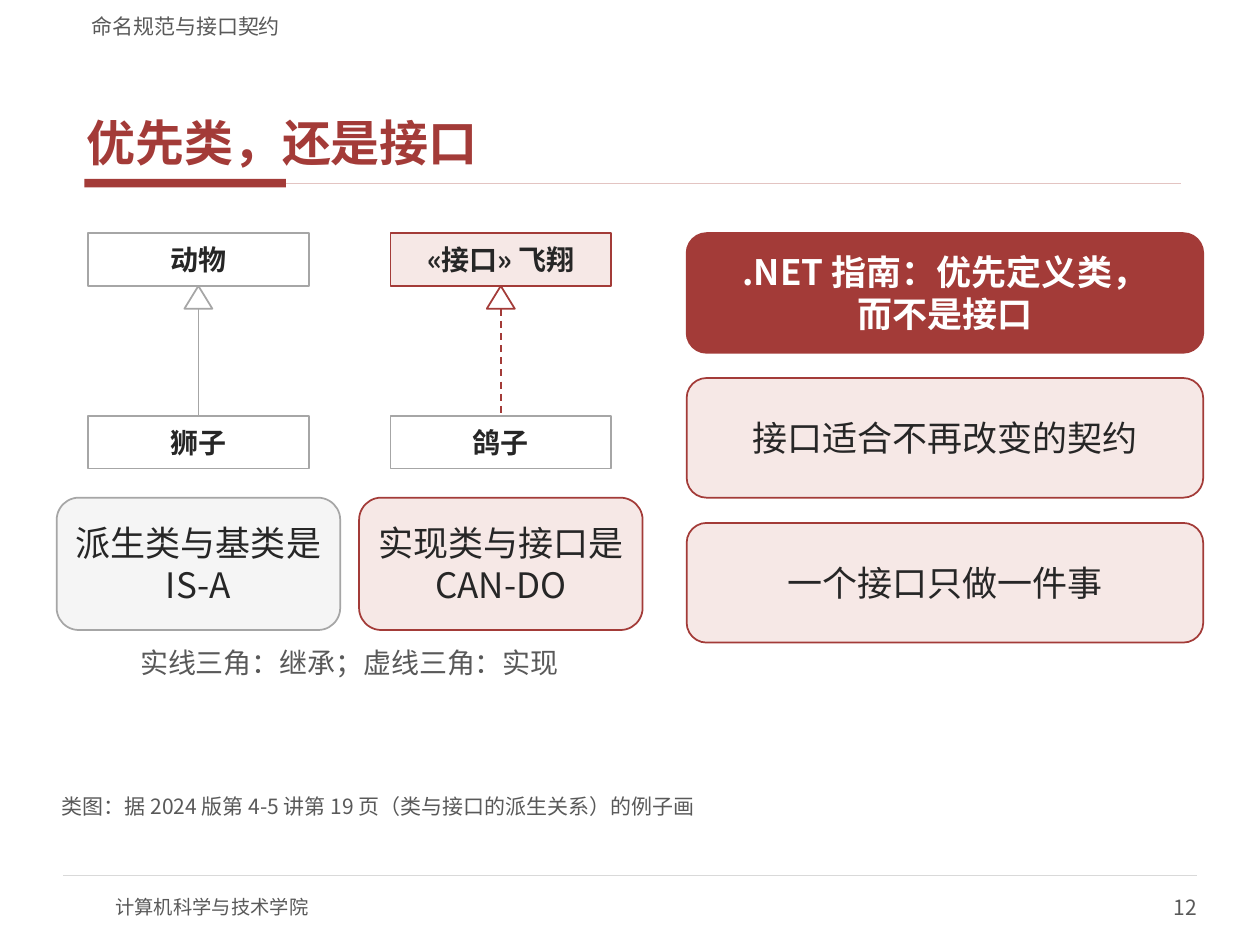
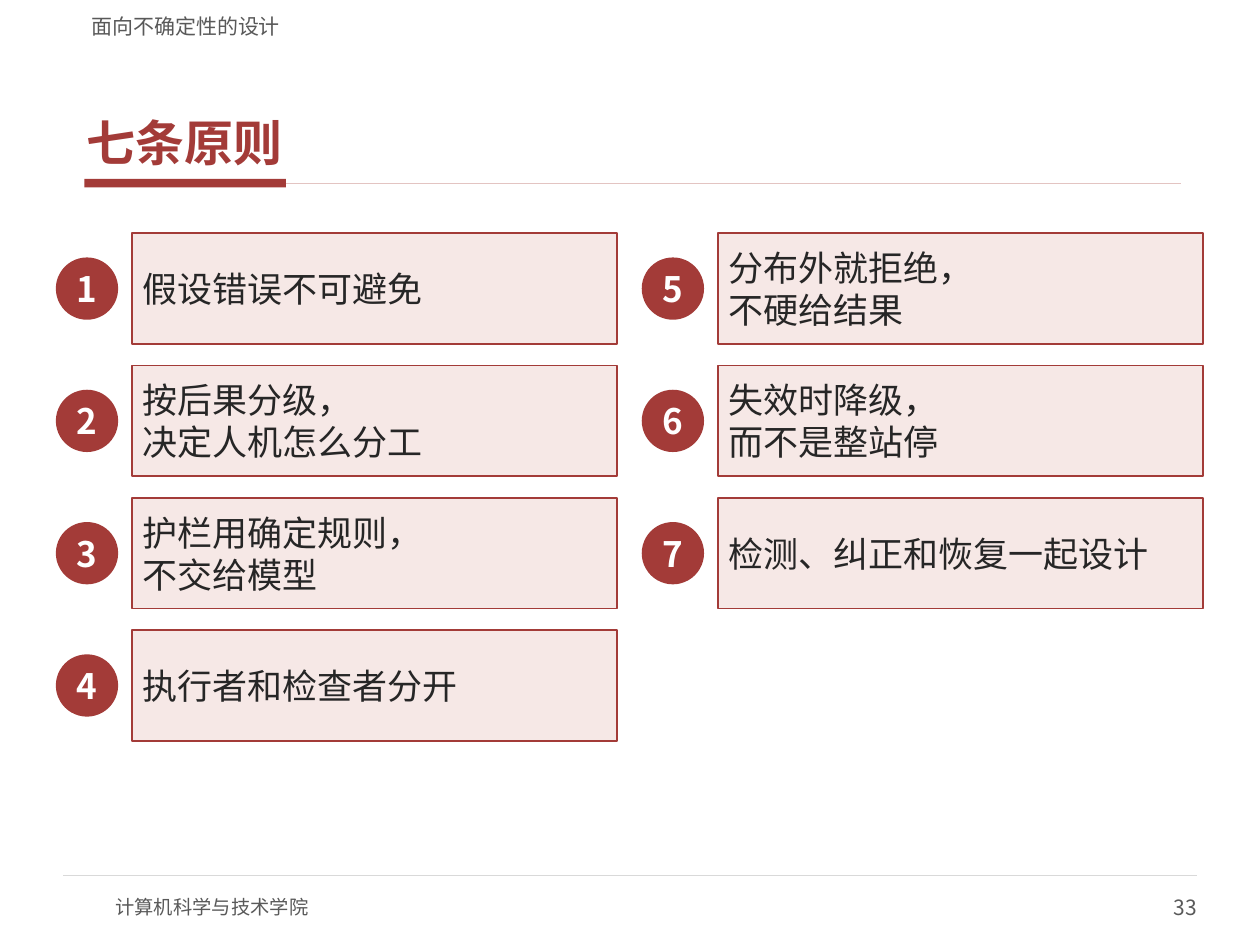
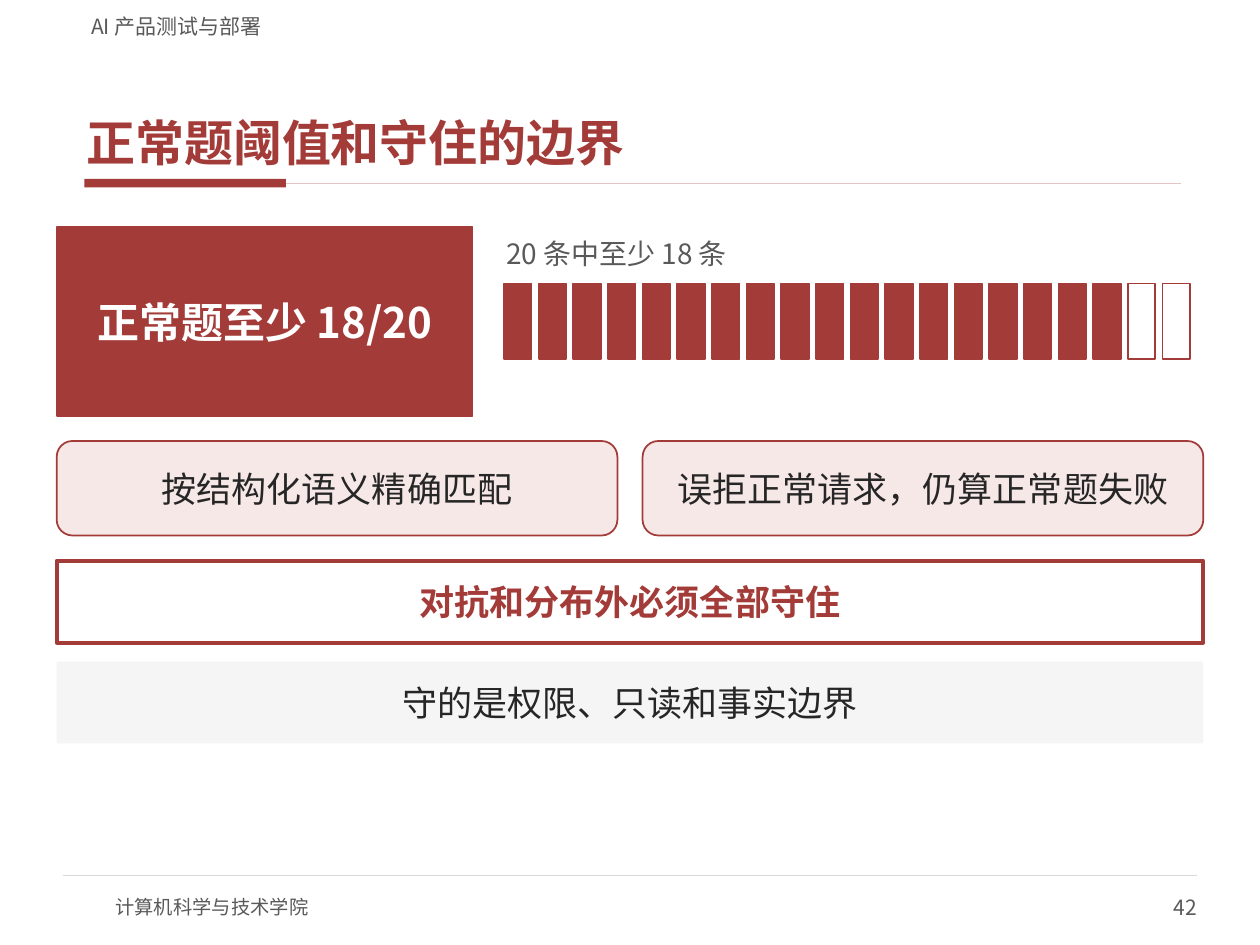
from dataclasses import dataclass

from lxml.etree import SubElement
from pptx import Presentation
from pptx.dml.color import RGBColor as Rgb
from pptx.enum.dml import MSO_LINE as Dash
from pptx.enum.shapes import MSO_CONNECTOR as Link, MSO_SHAPE as Form
from pptx.enum.text import MSO_ANCHOR as Anchor, MSO_AUTO_SIZE as Fit, PP_ALIGN as Align
from pptx.oxml.ns import qn
from pptx.util import Pt


@dataclass(frozen=True)
class Theme:
    """Colours, font and type sizes of the deck."""

    red: str = "A33B38"
    rose: str = "F6E8E6"
    blush: str = "E3C4C2"
    white: str = "FFFFFF"
    pale: str = "F5F5F5"
    rule: str = "D9D9D9"
    edge: str = "A6A6A6"
    grey: str = "595959"
    ink: str = "262626"
    font: str = "Noto Sans CJK SC"
    title: float = 28
    hero: float = 24
    body: float = 20
    label: float = 16
    small: float = 12
    foot: float = 11


THEME = Theme()
LEFT, WIDE, TOP = 32.4, 655.2, 133.2
HALF, RIGHT = 320.4, 367.2
PAD, TIGHT = (5.8, 2.9), (4.3, 2.2)


def spots(at):
    """Turn point values into lengths."""
    return [Pt(val) for val in at]


def write(frame, text, size, color, bold=False, align=Align.LEFT,
          anchor=Anchor.MIDDLE, pad=(0, 0)):
    """Put one styled paragraph into a text frame."""
    frame.word_wrap = True
    frame.auto_size = Fit.NONE
    frame.vertical_anchor = anchor
    frame.margin_left = frame.margin_right = Pt(pad[0])
    frame.margin_top = frame.margin_bottom = Pt(pad[1])
    para = frame.paragraphs[0]
    para.text = text
    para.alignment = align
    for run in para.runs:
        run.font.name = THEME.font
        run.font.size = Pt(size)
        run.font.bold = bold
        run.font.color.rgb = Rgb.from_string(color)
        SubElement(run._r.get_or_add_rPr(), qn("a:ea"), typeface=THEME.font)
    return para


def shape(slide, form, at, fill, edge=None, weight=1):
    """Add a flat preset shape."""
    item = slide.shapes.add_shape(form, *spots(at))
    item.shadow.inherit = False
    item.fill.solid()
    item.fill.fore_color.rgb = Rgb.from_string(fill)
    if edge:
        item.line.color.rgb = Rgb.from_string(edge)
        item.line.width = Pt(weight)
    else:
        item.line.fill.background()
    return item


def card(slide, at, text, form=Form.ROUNDED_RECTANGLE, fill=THEME.rose, edge=THEME.red,
         weight=1, size=THEME.body, color=THEME.ink, bold=False, align=Align.CENTER, pad=PAD):
    """Add a filled shape with text."""
    item = shape(slide, form, at, fill, edge, weight)
    write(item.text_frame, text, size, color, bold, align, pad=pad)


def label(slide, at, text, size=THEME.label, **style):
    """Add a grey text box."""
    item = slide.shapes.add_textbox(*spots(at))
    write(item.text_frame, text, size, THEME.grey, **style)


def line(slide, start, end, color, weight=1, dash=None):
    """Add a straight line without shadow."""
    item = slide.shapes.add_connector(Link.STRAIGHT, *spots(start + end))
    item.line.color.rgb = Rgb.from_string(color)
    item.line.width = Pt(weight)
    if dash:
        item.line.dash_style = dash
    SubElement(item._element.spPr, qn("a:effectLst"))


def page(deck, title, topic, num):
    """Add a slide with its title, header, rules and footer."""
    slide = deck.slides.add_slide(deck.slide_layouts[5])
    shape(slide, Form.RECTANGLE, (48.2, 102.2, 115.2, 5), THEME.red)
    line(slide, (163.4, 104.8), (674.8, 104.8), THEME.blush)
    line(slide, (36, 500.4), (684, 500.4), THEME.rule, 0.75)
    label(slide, (66, 504, 288, 28.8), "计算机科学与技术学院", THEME.foot)
    label(slide, (540, 504, 144, 28.8), str(num), THEME.small, align=Align.RIGHT)
    label(slide, (45, 2.9, 630, 19.4), topic, THEME.small, anchor=Anchor.BOTTOM, pad=(7.2, 0))
    head = slide.shapes.title
    head.left, head.top, head.width, head.height = spots((45, 23.8, 630, 75.6))
    para = write(head.text_frame, title, THEME.title, THEME.red, True,
                 anchor=Anchor.BOTTOM, pad=(4.3, 1.4))
    para.space_after = Pt(2)
    return slide


def tree(slide, left, upper, lower, note, fill, tint, edge, dash=None):
    """Draw a parent and child pair with the note below it."""
    mid = left + 81
    style = dict(form=Form.RECTANGLE, size=THEME.label, bold=True, pad=TIGHT)
    card(slide, (mid - 63, TOP, 126, 30.2), upper, fill=fill, edge=edge, **style)
    shape(slide, Form.ISOSCELES_TRIANGLE, (mid - 8, 163.4, 16, 13), THEME.white, edge)
    line(slide, (mid, 176.4), (mid, 237.6), edge, dash=dash)
    card(slide, (mid - 63, 237.6, 126, 30.2), lower, fill=THEME.white, edge=THEME.edge, **style)
    card(slide, (left, 284.4, 162, 75.6), note, fill=tint, edge=edge)


def choice(deck):
    """Build the class or interface slide."""
    slide = page(deck, "优先类，还是接口", "命名规范与接口契约", 12)
    tree(slide, LEFT, "动物", "狮子", "派生类与基类是 IS-A", THEME.white, THEME.pale, THEME.edge)
    tree(slide, LEFT + 172.8, "«接口» 飞翔", "鸽子", "实现类与接口是 CAN-DO",
         THEME.rose, THEME.rose, THEME.red, Dash.DASH)
    label(slide, (LEFT, 367.2, 334.8, 23), "实线三角：继承；虚线三角：实现",
          align=Align.CENTER, pad=(1.4, 0.7))
    tips = (".NET 指南：优先定义类，\n而不是接口", "接口适合不再改变的契约", "一个接口只做一件事")
    for row, tip in enumerate(tips):
        style = {} if row else dict(fill=THEME.red, color=THEME.white, bold=True)
        card(slide, (392.4, TOP + row * 82.8, 295.2, 68.4), tip, **style)
    label(slide, (LEFT, 453.6, WIDE, 15.8), "类图：据 2024 版第 4-5 讲第 19 页（类与接口的派生关系）的例子画",
          THEME.small, anchor=Anchor.BOTTOM, pad=(2.9, 1.4))


def rules(deck):
    """Build the slide of seven numbered principles."""
    slide = page(deck, "七条原则", "面向不确定性的设计", 33)
    items = ("假设错误不可避免", "按后果分级，\n决定人机怎么分工", "护栏用确定规则，\n不交给模型",
             "执行者和检查者分开", "分布外就拒绝，\n不硬给结果", "失效时降级，\n而不是整站停",
             "检测、纠正和恢复一起设计")
    for pos, item in enumerate(items):
        col, row = divmod(pos, 4)
        left, top = (LEFT, RIGHT)[col], TOP + row * 75.6
        card(slide, (left, top + 14.4, 34.6, 34.6), str(pos + 1), Form.OVAL, THEME.red,
             color=THEME.white, bold=True, pad=(0, 0))
        card(slide, (left + 43.2, top, 277.2, 63.4), item, Form.RECTANGLE, align=Align.LEFT)


def limits(deck):
    """Build the slide of the pass mark and the limits."""
    slide = page(deck, "正常题阈值和守住的边界", "AI 产品测试与部署", 42)
    card(slide, (LEFT, 129.6, 237.6, 108), "正常题至少 18/20", Form.RECTANGLE, THEME.red,
         size=THEME.hero, color=THEME.white, bold=True)
    for pos in range(20):
        fill = THEME.red if pos < 18 else THEME.white
        shape(slide, Form.RECTANGLE, (288 + pos * 19.8, 162, 15.8, 43.2), fill, THEME.red)
    label(slide, (288, TOP, 396, 23), "20 条中至少 18 条", pad=(1.4, 0.7))
    card(slide, (LEFT, 252, HALF, 54), "按结构化语义精确匹配")
    card(slide, (RIGHT, 252, HALF, 54), "误拒正常请求，仍算正常题失败")
    card(slide, (LEFT, 320.4, WIDE, 46.8), "对抗和分布外必须全部守住", Form.RECTANGLE, THEME.white,
         weight=2.25, color=THEME.red, bold=True)
    card(slide, (LEFT, 378, WIDE, 46.8), "守的是权限、只读和事实边界", Form.RECTANGLE, THEME.pale,
         edge=None)


def main():
    """Build and save the deck."""
    deck = Presentation()
    deck.slide_width, deck.slide_height = Pt(720), Pt(540)
    choice(deck)
    rules(deck)
    limits(deck)
    deck.save("out.pptx")


if __name__ == "__main__":
    main()
